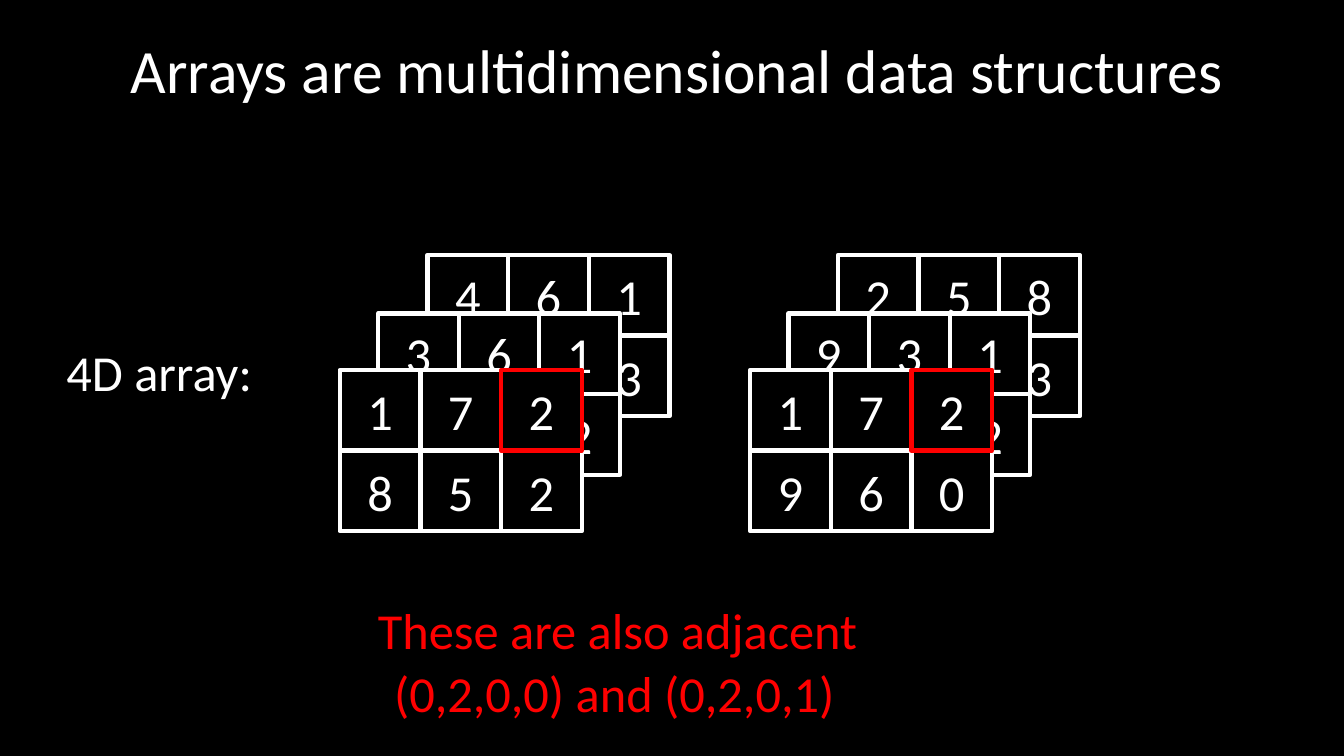
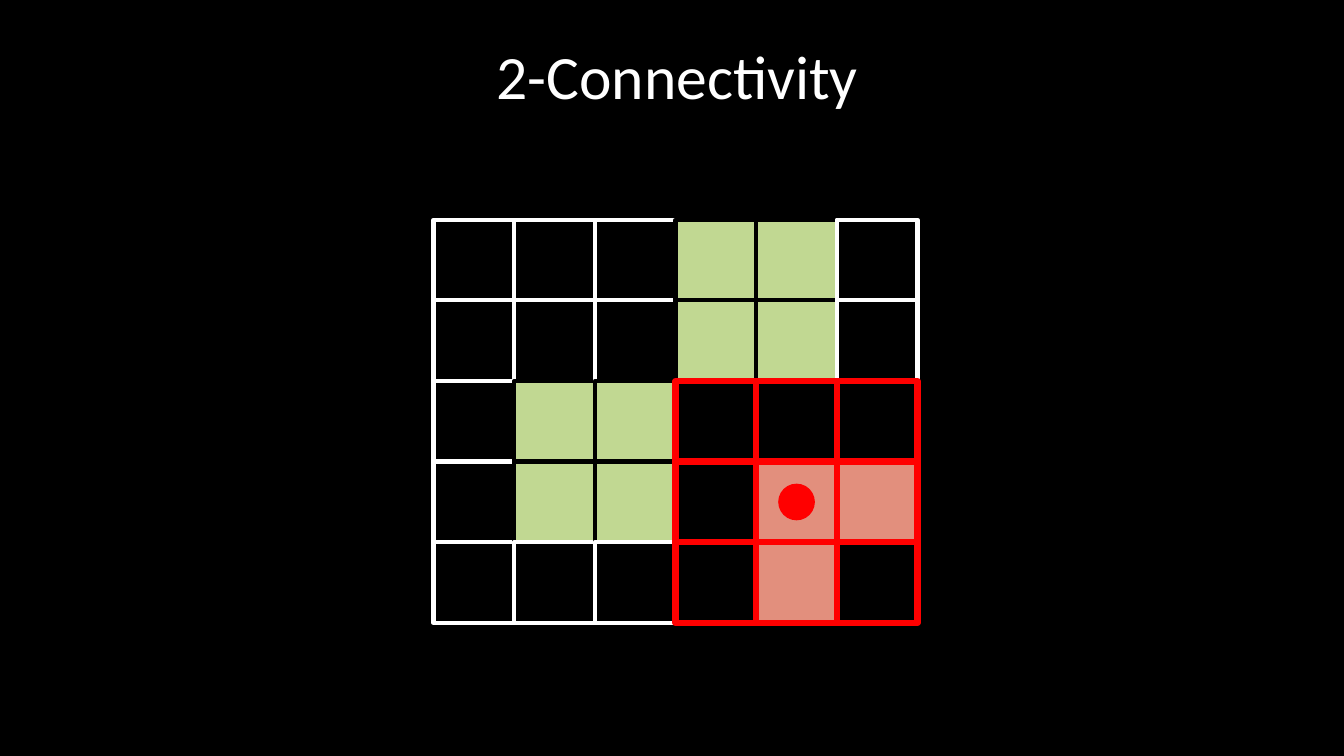
from pptx import Presentation
from pptx.dml.color import RGBColor
from pptx.enum.shapes import MSO_SHAPE as Shape
from pptx.enum.text import MSO_ANCHOR as Anchor, PP_ALIGN as Align
from pptx.util import Emu, Pt

# Shared style: 100 px to the inch
PX = 9144
WIDTH, HEIGHT = 1333, 750
FONT = "Calibri"
TITLE_SIZE, BODY_SIZE = 44, 36
CELL = 80
COLORS = {
    "black": "000000",
    "white": "FFFFFF",
    "red": "FF0000",
    "green": "C1D892",
    "salmon": "E28F7D",
}

# 4D array: two stacks, each listed from back layer to front layer
STACK_LEFTS = (0, 407)
LAYER_CORNERS = ((424, 253), (375, 311), (337, 367))
STACKS = (
    (("461", "893"), ("361", "852"), ("172", "852")),
    (("258", "893"), ("931", "852"), ("172", "960")),
)
ADJACENT = (0, 2)

# Pixel image: g = green object, s = salmon object, . = background
PIXELS = (
    "...gg.",
    "...gg.",
    ".gg...",
    ".gg.ss",
    "....s.",
)
PIXEL_STYLES = {
    ".": ("black", "white"),
    "g": ("green", "black"),
    "s": ("salmon", "black"),
}
IMAGE_LEFT, IMAGE_TOP = 430, 218
CENTER_ROW, CENTER_COLUMN = 3, 4
DOT = 35


def px(value):
    return Emu(round(value * PX))


def rgb(name):
    return RGBColor.from_string(COLORS[name])


def style_text(frame, text, size, color, align):
    para = frame.paragraphs[0]
    para.text = text
    para.alignment = align
    para.font.name = FONT
    para.font.size = Pt(size)
    para.font.color.rgb = rgb(color)
    return para


def add_text(page, text, left, top, width, height, color="white",
             size=BODY_SIZE, align=Align.LEFT, anchor=Anchor.TOP):
    box = page.shapes.add_textbox(px(left), px(top), px(width), px(height))
    box.text_frame.word_wrap = True
    box.text_frame.vertical_anchor = anchor
    return style_text(box.text_frame, text, size, color, align)


def add_figure(shapes, kind, left, top, size, fill, line, weight):
    figure = shapes.add_shape(kind, px(left), px(top), px(size), px(size))
    figure.shadow.inherit = False
    if fill:
        figure.fill.solid()
        figure.fill.fore_color.rgb = rgb(fill)
    else:
        figure.fill.background()
    figure.line.color.rgb = rgb(line)
    figure.line.width = Pt(weight)
    return figure


def add_cell(shapes, corner, row, column, fill="black", line="white", weight=3):
    left, top = corner
    return add_figure(shapes, Shape.RECTANGLE, left + column * CELL,
                      top + row * CELL, CELL, fill, line, weight)


def add_page(deck, title, title_top=0):
    page = deck.slides.add_slide(deck.slide_layouts[6])
    page.background.fill.solid()
    page.background.fill.fore_color.rgb = rgb("black")
    para = add_text(page, title, 97, title_top, 1150, 145, size=TITLE_SIZE,
                    align=Align.CENTER, anchor=Anchor.MIDDLE)
    para.line_spacing = 0.9
    return page


def add_matrix(page, corner, digits, highlight=None):
    shapes = page.shapes.add_group_shape().shapes
    places = [(row, column) for row, line in enumerate(digits)
              for column in range(len(line))]
    # The highlighted cell goes last so that its outline stays on top
    for place in sorted(places, key=lambda item: item == highlight):
        row, column = place
        line = "red" if place == highlight else "white"
        cell = add_cell(shapes, corner, row, column, line=line)
        cell.text_frame.vertical_anchor = Anchor.MIDDLE
        style_text(cell.text_frame, digits[row][column], BODY_SIZE, "white",
                   Align.CENTER)


def add_image(page):
    shapes = page.shapes.add_group_shape().shapes
    for column in range(len(PIXELS[0])):
        for row, pixels in enumerate(PIXELS):
            fill, line = PIXEL_STYLES[pixels[column]]
            add_cell(shapes, (IMAGE_LEFT, IMAGE_TOP), row, column, fill, line)


def add_neighbourhood(page):
    shapes = page.shapes.add_group_shape().shapes
    for row in range(CENTER_ROW - 1, CENTER_ROW + 2):
        for column in range(CENTER_COLUMN - 1, CENTER_COLUMN + 2):
            add_cell(shapes, (IMAGE_LEFT, IMAGE_TOP), row, column, None,
                     "red", 4.5)
    inset = (CELL - DOT) / 2
    add_figure(shapes, Shape.OVAL, IMAGE_LEFT + CENTER_COLUMN * CELL + inset,
               IMAGE_TOP + CENTER_ROW * CELL + inset, DOT, "red", "red", 1)


def build_array_page(deck):
    page = add_page(deck, "Arrays are multidimensional data structures")
    add_text(page, "4D array:", 56, 333, 221, 131)
    for shift, layers in zip(STACK_LEFTS, STACKS):
        for (left, top), digits in zip(LAYER_CORNERS, layers):
            front = digits is layers[-1]
            add_matrix(page, (left + shift, top), digits,
                       ADJACENT if front else None)
    add_text(page, "These are also adjacent", 365, 589, 674, 71, "red")
    add_text(page, "(0,2,0,0) and (0,2,0,1)", 381, 652, 536, 71, "red")


def build_connectivity_page(deck):
    page = add_page(deck, "2-Connectivity", title_top=6)
    add_image(page)
    add_neighbourhood(page)


def main():
    deck = Presentation()
    deck.slide_width, deck.slide_height = px(WIDTH), px(HEIGHT)
    build_array_page(deck)
    build_connectivity_page(deck)
    deck.save("out.pptx")


if __name__ == "__main__":
    main()
